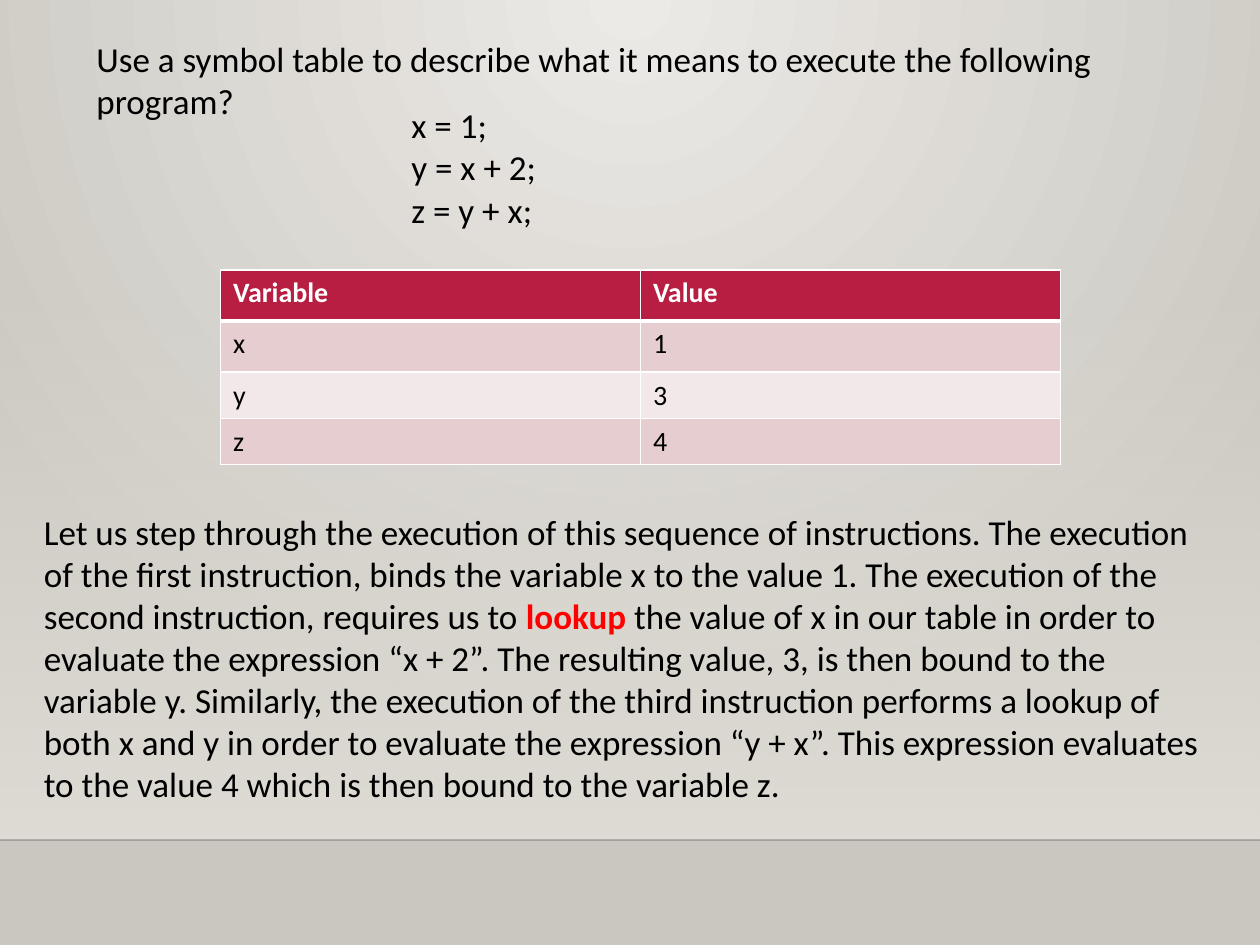
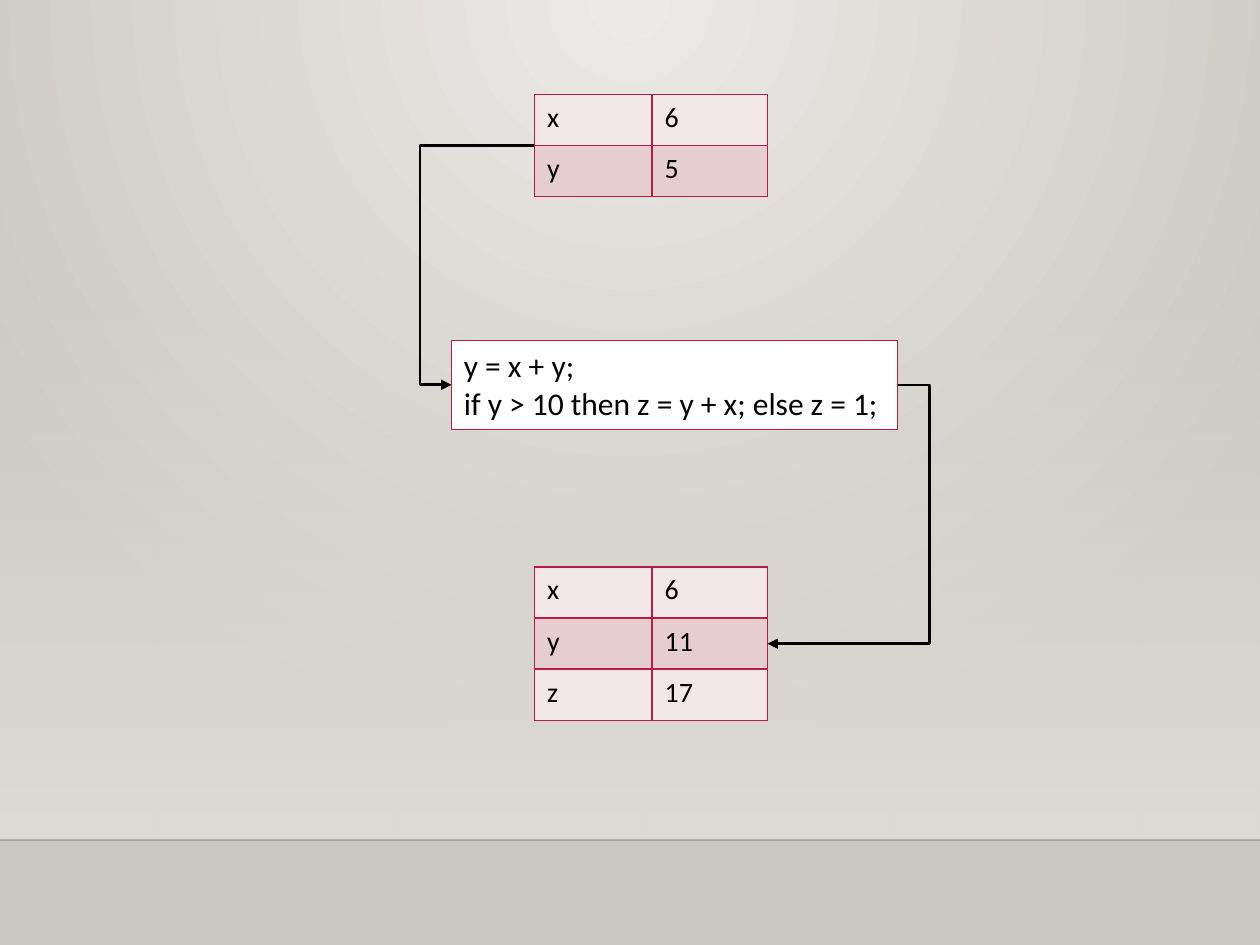
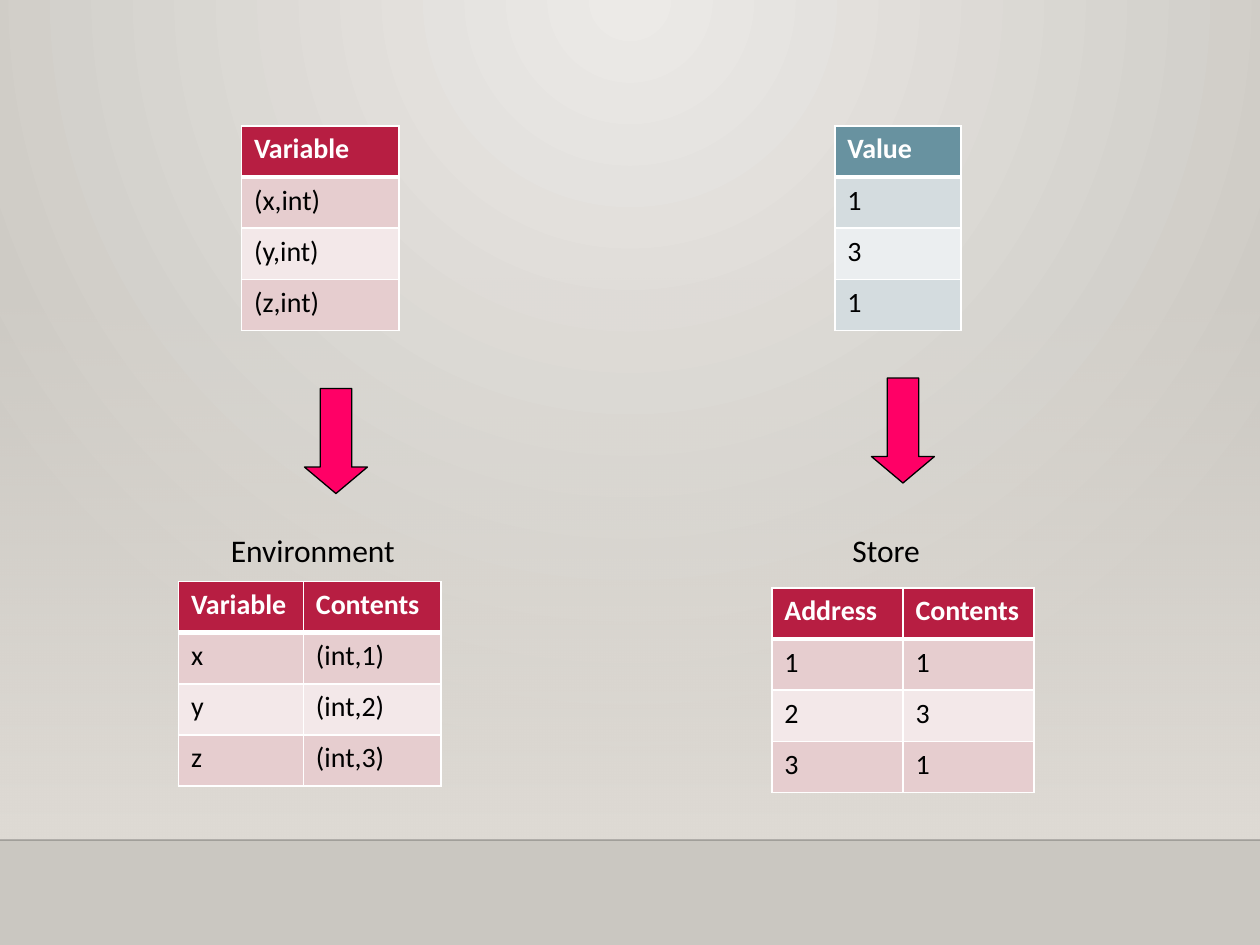
from typing import NamedTuple

from lxml.etree import SubElement
from pptx import Presentation
from pptx.dml.color import RGBColor
from pptx.enum.shapes import MSO_CONNECTOR, MSO_SHAPE
from pptx.enum.text import MSO_ANCHOR, MSO_AUTO_SIZE, PP_ALIGN
from pptx.oxml.ns import qn
from pptx.util import Inches, Pt

BLACK = RGBColor(0x00, 0x00, 0x00)
WHITE = RGBColor(0xFF, 0xFF, 0xFF)
RED = RGBColor(0xFF, 0x00, 0x00)
PINK = RGBColor(0xFF, 0x00, 0x66)
CRIMSON = RGBColor(0xB7, 0x1E, 0x42)
ROSE = RGBColor(0xE6, 0xCD, 0xCF)
PALE_ROSE = RGBColor(0xF3, 0xE8, 0xE9)
TEAL = RGBColor(0x68, 0x92, 0xA0)
MIST = RGBColor(0xD4, 0xDC, 0xDF)
PALE_MIST = RGBColor(0xEB, 0xEE, 0xF0)
GLOW = RGBColor(0xEC, 0xEA, 0xE7)
STONE = RGBColor(0xCA, 0xC7, 0xC1)
SAND = RGBColor(0xDF, 0xDB, 0xD5)
HORIZON = RGBColor(0x00, 0x00, 0x01)

FONT = "Calibri"
WIDTH, HEIGHT = Inches(10), Inches(7.5)
COLUMN, ROW = WIDTH / 120, HEIGHT / 90
TABLE_ROW = 4.87

RED_SCHEME = (CRIMSON, ROSE, PALE_ROSE)
BLUE_SCHEME = (TEAL, MIST, PALE_MIST)


class Box(NamedTuple):
    left: float
    top: float
    width: float
    height: float

    def inner(self, column, row, columns, rows):
        return Box(self.left + column, self.top + row, columns, rows)

    def emu(self):
        return (round(self.left * COLUMN), round(self.top * ROW),
                round(self.width * COLUMN), round(self.height * ROW))


PAGE = Box(0, 0, 120, 90)


def style_runs(paragraph, size, color=BLACK, bold=False):
    for run in paragraph.runs:
        run.font.name = FONT
        run.font.size = Pt(size)
        run.font.color.rgb = color
        run.font.bold = bold


def add_text(slide, box, lines, size, wrap=True):
    frame = slide.shapes.add_textbox(*box.emu()).text_frame
    frame.word_wrap = wrap
    frame.auto_size = MSO_AUTO_SIZE.SHAPE_TO_FIT_TEXT
    frame.text = "\n".join(lines)
    for paragraph in frame.paragraphs:
        style_runs(paragraph, size)
    return frame


def set_borders(cell, color, top, bottom):
    properties = cell._tc.get_or_add_tcPr()
    sides = (("a:lnL", 1), ("a:lnR", 1), ("a:lnT", top), ("a:lnB", bottom))
    for position, (side, points) in enumerate(sides):
        border = SubElement(properties, qn(side), w=str(Pt(points)))
        fill = SubElement(border, qn("a:solidFill"))
        SubElement(fill, qn("a:srgbClr"), val=str(color))
        properties.insert(position, border)


def add_symbols(slide, box, rows, widths, scheme=RED_SCHEME, header=True, heights=None):
    heights = heights or [TABLE_ROW] * len(rows)
    area = Box(box.left, box.top, sum(widths), sum(heights))
    table = slide.shapes.add_table(len(rows), len(widths), *area.emu()).table
    table.first_row = header
    for column, width in zip(table.columns, widths):
        column.width = round(width * COLUMN)
    for row, height in zip(table.rows, heights):
        row.height = round(height * ROW)
    head_color, dark, light = scheme
    for row_number, values in enumerate(rows):
        is_head = header and row_number == 0
        striped = dark if row_number % 2 else light
        for column_number, value in enumerate(values):
            cell = table.cell(row_number, column_number)
            cell.text = value
            style_runs(cell.text_frame.paragraphs[0], 16, WHITE if is_head else BLACK, is_head)
            cell.fill.solid()
            cell.fill.fore_color.rgb = head_color if is_head else striped
            set_borders(cell, WHITE if header else head_color,
                        3 if header and row_number == 1 else 1, 3 if is_head else 1)


def clear_effects(connector):
    SubElement(connector.element.spPr, qn("a:effectLst"))


def add_elbow(slide, start, end, lane):
    connector = slide.shapes.add_connector(
        MSO_CONNECTOR.ELBOW, round(start[0] * COLUMN), round(start[1] * ROW),
        round(end[0] * COLUMN), round(end[1] * ROW))
    connector.line.color.rgb = BLACK
    connector.line.width = Pt(1.5)
    bend = round((lane - start[0]) / (end[0] - start[0]) * 100000)
    guides = connector.element.xpath(".//a:avLst")[0]
    SubElement(guides, qn("a:gd"), name="adj1", fmla=f"val {bend}")
    outline = connector.element.xpath("./p:spPr/a:ln")[0]
    SubElement(outline, qn("a:tailEnd"), type="triangle")
    clear_effects(connector)


def set_gradient(fill, first, last):
    fill.gradient()
    for stop, color, position in zip(fill.gradient_stops, (first, last), (0, 1)):
        stop.color.rgb = color
        stop.position = position


def set_alpha(color_element, percent):
    SubElement(color_element, qn("a:alpha"), val=str(percent * 1000))


def paint_background(master):
    set_gradient(master.background.fill, GLOW, STONE)
    gradient = master.element.xpath("./p:cSld/p:bg//a:gradFill")[0]
    for linear in gradient.findall(qn("a:lin")):
        gradient.remove(linear)
    circle = SubElement(gradient, qn("a:path"))
    circle.set("path", "circle")
    SubElement(circle, qn("a:fillToRect"), l="43000", t="0", r="43000", b="100000")


def paint_stage(master, slide, box):
    wall = slide.shapes.add_shape(MSO_SHAPE.RECTANGLE, *box.inner(0, 26.4, 120, 53.6).emu())
    wall.shadow.inherit = False
    wall.line.fill.background()
    set_gradient(wall.fill, SAND, SAND)
    wall.fill.gradient_angle = 270
    set_alpha(wall.element.xpath("./p:spPr//a:srgbClr")[0], 0)

    left, top, width, _ = box.inner(0, 80, 120, 0).emu()
    edge = slide.shapes.add_connector(MSO_CONNECTOR.STRAIGHT, left, top, left + width, top)
    edge.line.color.rgb = HORIZON
    edge.line.width = Pt(1)
    set_alpha(edge.element.xpath("./p:spPr//a:srgbClr")[0], 20)
    clear_effects(edge)

    for position, layer in enumerate((wall, edge)):
        layer.element.xpath(".//p:cNvPr")[0].set("id", str(100 + position))
        master.element.cSld.spTree.insert(2 + position, layer.element)


def build_execution(slide, box):
    question = add_text(slide, box.inner(8, 3, 106, 19.4), [
        "Use a symbol table to describe what it means to execute the following program?",
        "x = 1;", "y = x + 2;", "z = y + x;"], 20)
    for number, paragraph in enumerate(question.paragraphs[1:]):
        paragraph.line_spacing = 0.5
        paragraph.space_before = Pt(12.2 if number else 0)
        paragraph._p.get_or_add_pPr().set("marL", str(Inches(2.5)))

    explanation = add_text(slide, box.inner(3, 48, 114, 29.2), [
        "Let us step through the execution of this sequence of instructions. "
        "The execution of the first instruction, binds the variable x to the value 1. "
        "The execution of the second instruction, requires us to "], 20).paragraphs[0]
    for wording in (
            "lookup",
            " the value of x in our table in order to evaluate the expression “x + 2”. "
            "The resulting value, 3, is then bound to the variable y. Similarly, the execution "
            "of the third instruction performs a lookup of both x and y in order to evaluate "
            "the expression “y + x”. This expression evaluates to the value 4 which is then "
            "bound to the variable z."):
        explanation.add_run().text = wording
    style_runs(explanation, 20)
    lookup = explanation.runs[1].font
    lookup.bold = True
    lookup.color.rgb = RED

    add_symbols(slide, box.inner(21, 25.7, 80, 18.5),
                [("Variable", "Value"), ("x", "1"), ("y", "3"), ("z", "4")], (40, 40),
                heights=(TABLE_ROW, TABLE_ROW, 3.2, 3.2))


def build_transition(slide, box):
    widths = (11.2, 11)
    before = box.inner(50.9, 9, sum(widths), 2 * TABLE_ROW)
    after = box.inner(50.9, 54, sum(widths), 3 * TABLE_ROW)
    code = box.inner(43, 32.4, 42.5, 8.5)
    add_symbols(slide, before, [("x", "6"), ("y", "5")], widths, header=False)
    add_symbols(slide, after, [("x", "6"), ("y", "11"), ("z", "17")], widths, header=False)

    program = slide.shapes.add_shape(MSO_SHAPE.RECTANGLE, *code.emu())
    program.shadow.inherit = False
    program.fill.solid()
    program.fill.fore_color.rgb = WHITE
    program.line.color.rgb = CRIMSON
    program.line.width = Pt(0.75)
    frame = program.text_frame
    frame.word_wrap = True
    frame.auto_size = MSO_AUTO_SIZE.SHAPE_TO_FIT_TEXT
    frame.vertical_anchor = MSO_ANCHOR.TOP
    frame.text = "y = x + y;\nif y > 10 then z = y + x; else z = 1;"
    for paragraph in frame.paragraphs:
        paragraph.alignment = PP_ALIGN.LEFT
        style_runs(paragraph, 18)

    code_middle = code.top + code.height / 2
    code_right = code.left + code.width
    add_elbow(slide, (before.left, before.top + before.height / 2),
              (code.left, code_middle), code.left - 3)
    add_elbow(slide, (code_right, code_middle),
              (after.left + after.width, after.top + after.height / 2), code_right + 3)


def build_mapping(slide, box, symbols, symbol_width, scheme, arrow_at, title, title_box,
                  memory_row, memory, memory_widths):
    add_text(slide, box.inner(*title_box), [title], 18, wrap=False)
    arrow = slide.shapes.add_shape(MSO_SHAPE.DOWN_ARROW, *box.inner(*arrow_at, 6, 10).emu())
    arrow.shadow.inherit = False
    arrow.adjustments[0] = 0.5
    arrow.adjustments[1] = 0.42
    arrow.fill.solid()
    arrow.fill.fore_color.rgb = PINK
    arrow.line.color.rgb = BLACK
    arrow.line.width = Pt(0.75)
    add_symbols(slide, box.inner(0, memory_row, 25, 20), memory, memory_widths)
    add_symbols(slide, box.inner(6, 0, symbol_width, 20), [(symbol,) for symbol in symbols],
                (symbol_width,), scheme)


def build_memory(slide, box):
    build_mapping(
        slide, box.inner(17, 12, 25, 63), ("Variable", "(x,int)", "(y,int)", "(z,int)"),
        15, RED_SCHEME, (12, 25), "Environment", (3.8, 38, 23.3, 6), 43.4,
        [("Variable", "Contents"), ("x", "(int,1)"), ("y", "(int,2)"), ("z", "(int,3)")],
        (11.9, 13.1))
    build_mapping(
        slide, box.inner(73.5, 12, 25, 63), ("Value", "1", "3", "1"),
        12, BLUE_SCHEME, (9.5, 24), "Store", (6.5, 38, 10.8, 6), 44,
        [("Address", "Contents"), ("1", "1"), ("2", "3"), ("3", "1")],
        (12.5, 12.5))


deck = Presentation()
deck.slide_width, deck.slide_height = WIDTH, HEIGHT
execution, transition, memory_model = [
    deck.slides.add_slide(deck.slide_layouts[6]) for _ in range(3)]
paint_background(deck.slide_master)
paint_stage(deck.slide_master, execution, PAGE)
build_execution(execution, PAGE)
build_transition(transition, PAGE)
build_memory(memory_model, PAGE)
deck.save("out.pptx")
